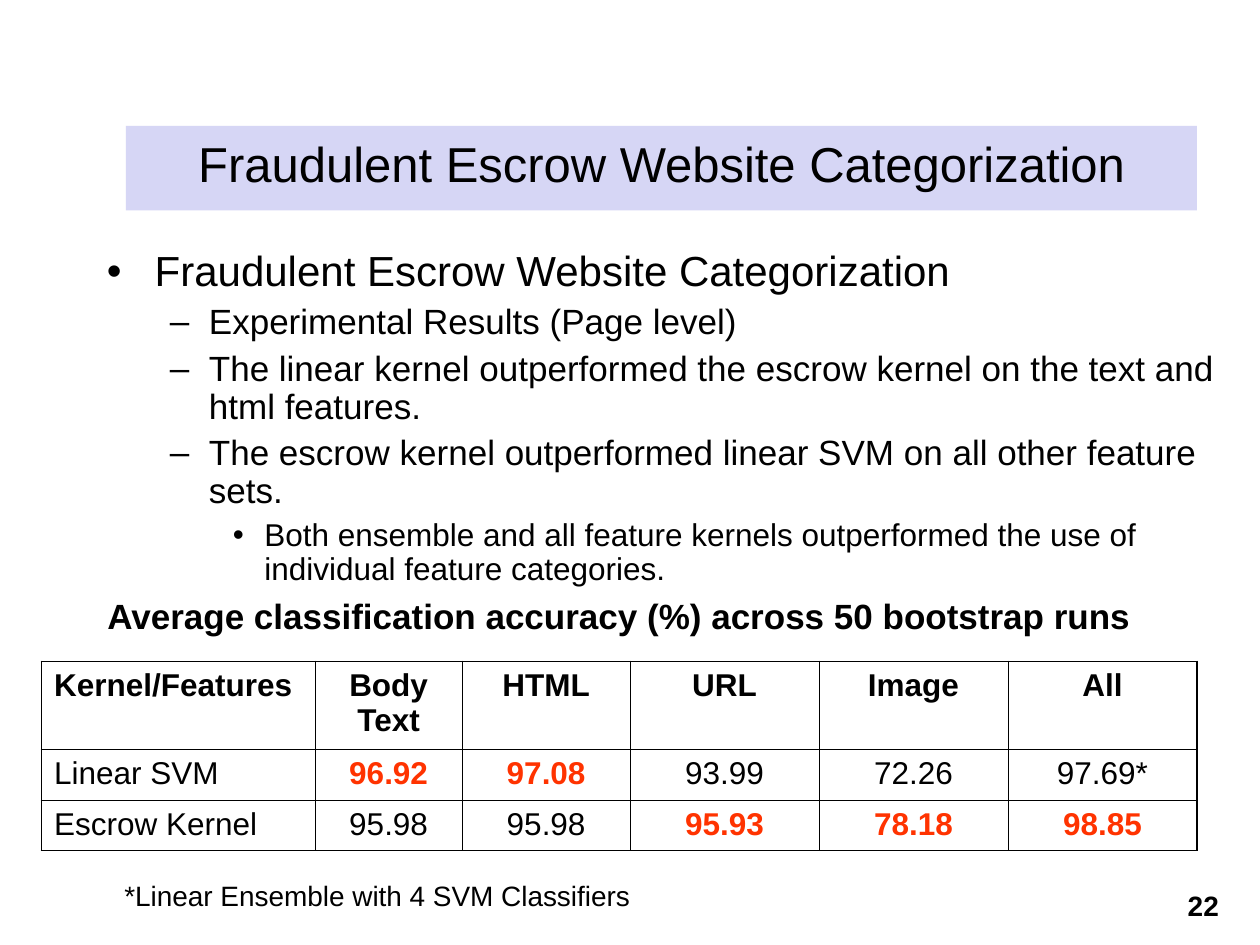
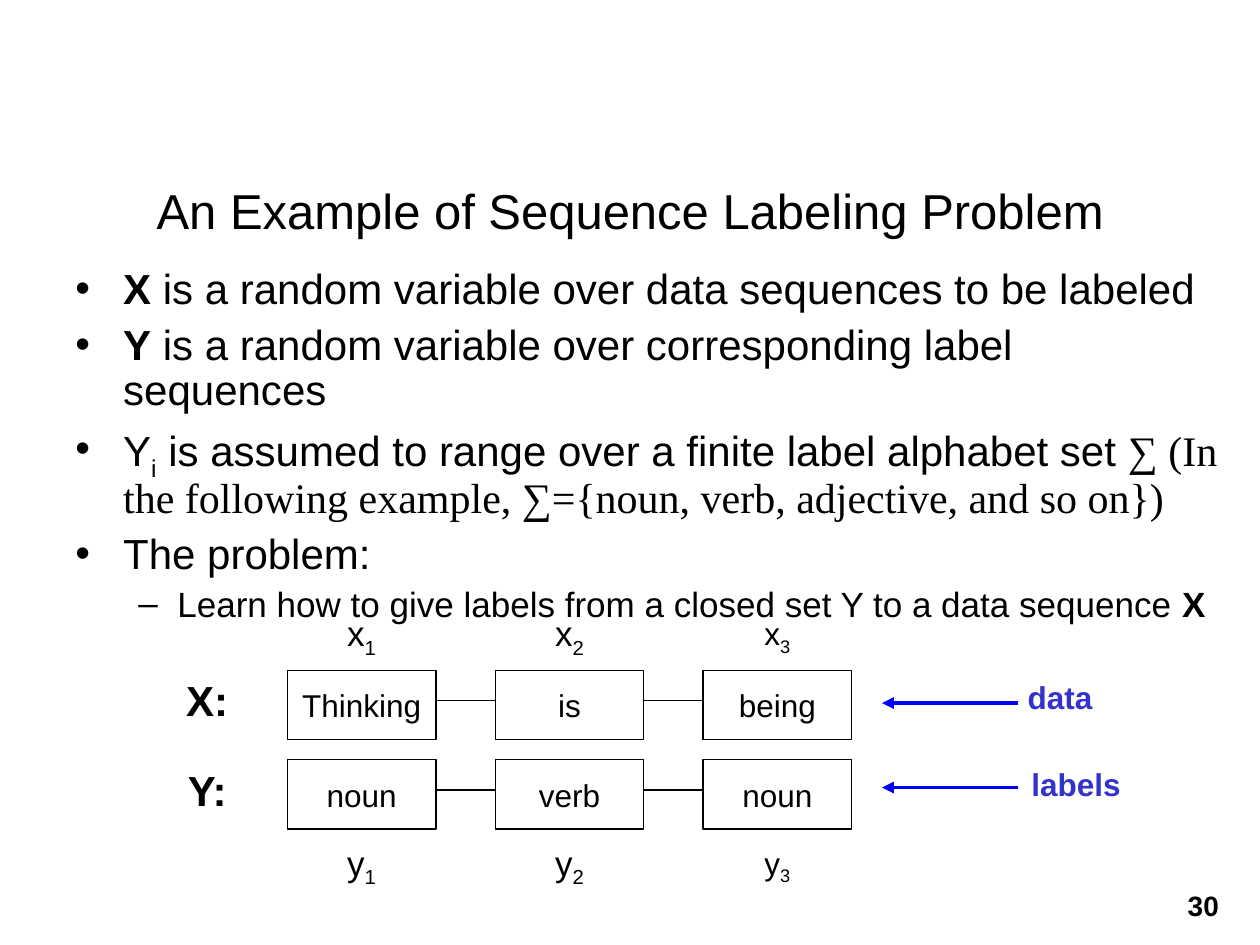
from lxml import etree
from pptx import Presentation
from pptx.dml.color import RGBColor
from pptx.enum import shapes, text
from pptx.oxml import ns
from pptx.util import Inches, Pt

BLACK = RGBColor(0x00, 0x00, 0x00)
LAVENDER = RGBColor(0xD6, 0xD6, 0xF5)
BEST_RED = RGBColor(0xFF, 0x33, 0x00)
ARROW_BLUE = RGBColor(0x00, 0x00, 0xFF)
NOTE_BLUE = RGBColor(0x33, 0x33, 0xCC)
FONT, SERIF = "Arial", "Times New Roman"
TITLE_SIZE = 28

CENTER, LEFT = text.PP_ALIGN.CENTER, text.PP_ALIGN.LEFT
TOP, MIDDLE = text.MSO_ANCHOR.TOP, text.MSO_ANCHOR.MIDDLE

# Bullet levels: character, text indent, hanging width, size, space before
LEVELS = [("•", 0.38, 0.38, 24, 6), ("–", 0.81, 0.31, 20, 5), ("•", 1.25, 0.25, 18, 4.5)]

THIN, THICK = 0.45, 1.08


def sub(parent, tag, **attrs):
    return etree.SubElement(parent, ns.qn(tag), attrs)


def add_runs(p, content, size=18, bold=False, color=BLACK, font=FONT):
    """Content is a string, or a list of strings and (string, overrides) pairs."""
    for item in [content] if isinstance(content, str) else content:
        words, extra = (item, {}) if isinstance(item, str) else item
        r = p.add_run()
        r.text = words
        r.font.size = Pt(extra.get("size", size))
        r.font.bold = extra.get("bold", bold)
        r.font.name = extra.get("font", font)
        r.font.color.rgb = extra.get("color", color)
        if extra.get("low"):
            r._r.get_or_add_rPr().set("baseline", "-25000")


def write(tf, content, align=CENTER, anchor=TOP, wrap=True, spacing=None, **fmt):
    tf.word_wrap = wrap
    tf.vertical_anchor = anchor
    p = tf.paragraphs[0]
    p.alignment = align
    p.line_spacing = spacing
    add_runs(p, content, **fmt)


def add_text(s, box, content, **fmt):
    sp = s.shapes.add_textbox(*map(Inches, box))
    write(sp.text_frame, content, **fmt)


def add_rect(s, box, content, fill=None, line=None, **fmt):
    sp = s.shapes.add_shape(shapes.MSO_SHAPE.RECTANGLE, *map(Inches, box))
    sp.shadow.inherit = False
    if fill is None:
        sp.fill.background()
    else:
        sp.fill.solid()
        sp.fill.fore_color.rgb = fill
    if line is None:
        sp.line.fill.background()
    else:
        sp.line.color.rgb = line
        sp.line.width = Pt(0.75)
    write(sp.text_frame, content, anchor=MIDDLE, **fmt)


def add_line(s, x1, y1, x2, y2, color=BLACK, width=0.75, arrow=False):
    c = s.shapes.add_connector(shapes.MSO_CONNECTOR.STRAIGHT,
                               *map(Inches, (x1, y1, x2, y2)))
    c.line.color.rgb = color
    c.line.width = Pt(width)
    if arrow:
        sub(c.line._get_or_add_ln(), "a:tailEnd", type="triangle")
    sub(c._element.spPr, "a:effectLst")


def add_bullets(s, box, items):
    tf = s.shapes.add_textbox(*map(Inches, box)).text_frame
    tf.word_wrap = True
    for i, (level, content) in enumerate(items):
        mark, indent, hang, size, before = LEVELS[level]
        p = tf.add_paragraph() if i else tf.paragraphs[0]
        p.level = level
        p.line_spacing = 0.9
        if i:
            p.space_before = Pt(before)
        pPr = p._p.get_or_add_pPr()
        pPr.set("marL", str(Inches(indent)))
        pPr.set("indent", str(-Inches(hang)))
        sub(sub(pPr, "a:buClr"), "a:srgbClr", val=str(BLACK))
        sub(pPr, "a:buFont", typeface=FONT)
        sub(pPr, "a:buChar", char=mark)
        add_runs(p, content, size=size)


def set_borders(cell, **widths):
    tcPr = cell._tc.get_or_add_tcPr()
    for side in "LRTB":
        ln = sub(tcPr, "a:ln" + side, w=str(Pt(widths[side])))
        sub(sub(ln, "a:solidFill"), "a:srgbClr", val=str(BLACK))


def add_results_table(s, box, rows, col_widths, row_heights, best):
    n_rows, n_cols = len(rows), len(col_widths)
    table = s.shapes.add_table(n_rows, n_cols, *map(Inches, box)).table
    table.first_row = table.horz_banding = False
    for col, width in zip(table.columns, col_widths):
        col.width = Inches(width)
    for row, height in zip(table.rows, row_heights):
        row.height = Inches(height)
    for i, values in enumerate(rows):
        for j, value in enumerate(values):
            cell = table.cell(i, j)
            set_borders(cell,
                        L=THIN if j else THICK,
                        R=THICK if j == n_cols - 1 else THIN,
                        T=THIN if i else THICK,
                        B=THICK if i == n_rows - 1 else THIN)
            cell.fill.background()
            write(cell.text_frame, value, align=CENTER if j else LEFT,
                  bold=i == 0 or (i, j) in best,
                  color=BEST_RED if (i, j) in best else BLACK)


def new_slide(prs, number):
    s = prs.slides.add_slide(prs.slide_layouts[6])
    add_text(s, (9.25, 7, 0.6, 0.37), number, size=16, bold=True)
    return s


def build_escrow_slide(prs):
    s = new_slide(prs, "22")
    heading = "Fraudulent Escrow Website Categorization"
    add_bullets(s, (0.75, 1.94, 9, 2.89), [
        (0, heading),
        (1, "Experimental Results (Page level)"),
        (1, "The linear kernel outperformed the escrow kernel on the text and "
            "html features."),
        (1, "The escrow kernel outperformed linear SVM on all other feature sets."),
        (2, "Both ensemble and all feature kernels outperformed the use of "
            "individual feature categories."),
    ])
    add_results_table(
        s, (0.33, 5.25, 9.17, 1.5),
        [["Kernel/Features", "Body Text", "HTML", "URL", "Image", "All"],
         ["Linear SVM", "96.92", "97.08", "93.99", "72.26", "97.69*"],
         ["Escrow Kernel", "95.98", "95.98", "95.93", "78.18", "98.85"]],
        col_widths=[2.17, 1.17, 1.33, 1.5, 1.5, 1.5],
        row_heights=[0.7, 0.4, 0.4],
        best={(1, 1), (1, 2), (2, 3), (2, 4), (2, 5)})
    add_text(s, (0.33, 6.92, 5.33, 0.37),
             "*Linear Ensemble with 4 SVM Classifiers", size=16)
    add_text(s, (0.33, 4.67, 9.17, 0.44),
             "Average classification accuracy (%) across 50 bootstrap runs",
             size=20, bold=True)
    add_rect(s, (1, 1, 8.5, 0.67), heading, fill=LAVENDER, size=TITLE_SIZE,
             spacing=0.8)


def add_sequence(s, name, words, top, label_top):
    """One chain of linked boxes with its name and subscripted labels."""
    left, pitch, width, height = 2.28, 1.65, 1.18, 0.55
    add_text(s, (1.33, top, 0.63, 0.47), name + ":", size=24, bold=True,
             anchor=MIDDLE, wrap=False)
    for i, word in enumerate(words):
        x = left + i * pitch
        add_rect(s, (x, top, width, height), word, line=BLACK, wrap=False)
        if i:
            add_line(s, x - pitch + width, top + 0.24, x, top + 0.24)
        add_text(s, (x, label_top, width, height),
                 [name.lower(), (str(i + 1), dict(low=True))],
                 size=20 if i < 2 else 18, anchor=MIDDLE, wrap=False)


def build_labeling_slide(prs):
    s = new_slide(prs, "30")
    bold = dict(bold=True)
    add_text(s, (0.75, 1.33, 8.5, 0.67), "An Example of Sequence Labeling Problem",
             size=TITLE_SIZE, anchor=MIDDLE)
    add_bullets(s, (0.5, 2.08, 9.33, 2.62), [
        (0, [("X", bold), " is a random variable over data sequences to be labeled"]),
        (0, [("Y", bold), " is a random variable over corresponding label sequences"]),
        (0, ["Y", ("i", dict(low=True)),
             " is assumed to range over a finite label alphabet set ",
             ("∑ (In the following example, ∑={noun, verb, adjective, and so on})",
              dict(font=SERIF))]),
        (0, "The problem:"),
        (1, ["Learn how to give labels from a closed set Y to a data sequence",
             (" X", bold)]),
    ])

    # Data chain and label chain
    add_sequence(s, "X", ["Thinking", "is", "being"], top=5.32, label_top=4.77)
    add_sequence(s, "Y", ["noun", "verb", "noun"], top=6.03, label_top=6.59)

    # Arrows with their notes
    for y in (5.58, 6.25):
        add_line(s, 8.08, y, 7, y, color=ARROW_BLUE, width=2.25, arrow=True)
    note = dict(bold=True, color=NOTE_BLUE)
    add_text(s, (7.17, 5.25, 2.58, 0.5),
             ["data", (" ", dict(size=24, bold=False))], **note)
    add_text(s, (7.25, 6.02, 2.58, 0.4), "labels", **note)


def main():
    prs = Presentation()
    prs.slide_width, prs.slide_height = Inches(10), Inches(7.5)
    build_escrow_slide(prs)
    build_labeling_slide(prs)
    prs.save("out.pptx")


if __name__ == "__main__":
    main()
